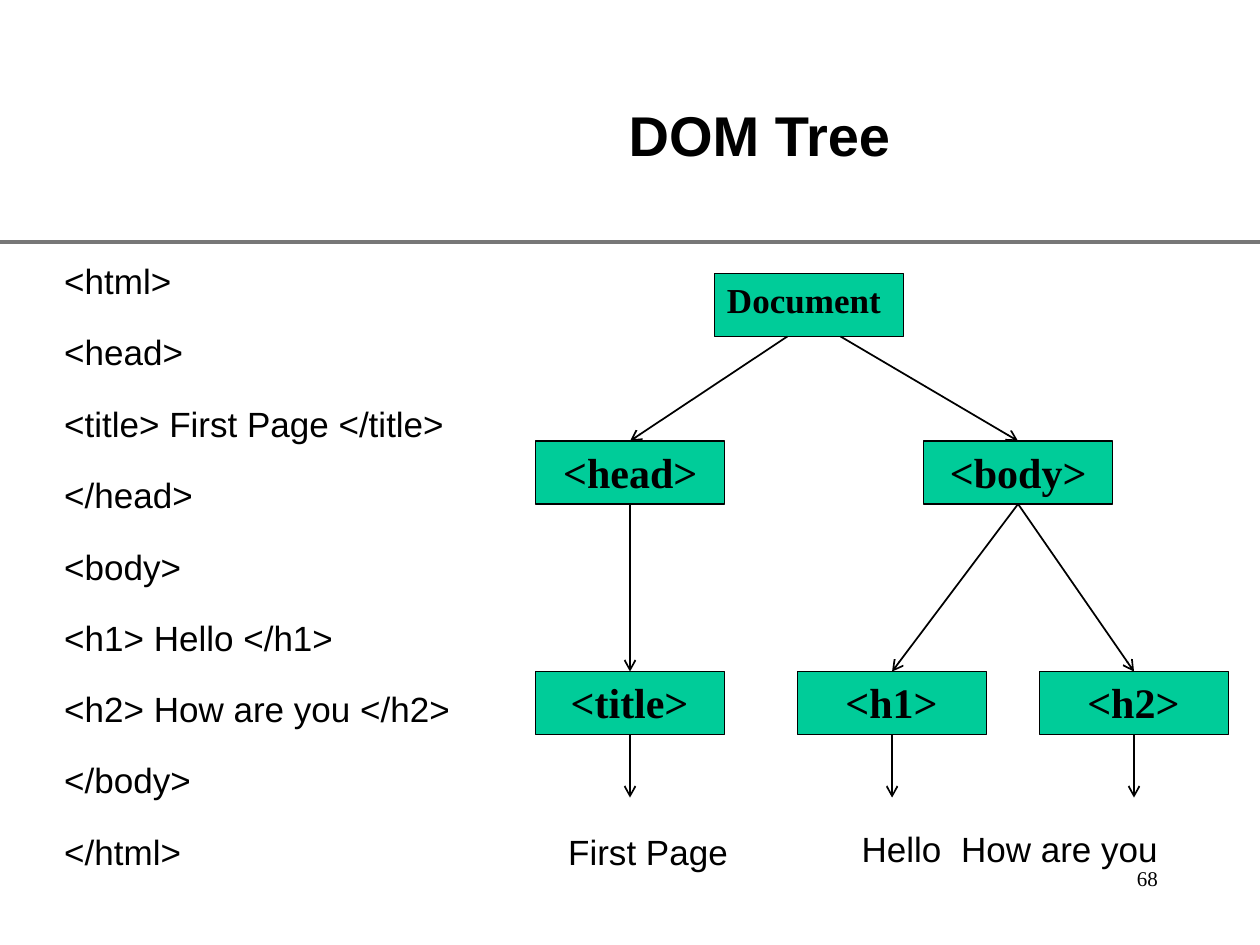
from dataclasses import dataclass

from lxml import etree
from pptx import Presentation
from pptx.dml.color import RGBColor
from pptx.enum.shapes import MSO_CONNECTOR, MSO_SHAPE
from pptx.enum.text import MSO_ANCHOR, PP_ALIGN
from pptx.oxml.ns import qn
from pptx.util import Inches, Pt

RECTANGLE = MSO_SHAPE.RECTANGLE
STRAIGHT = MSO_CONNECTOR.STRAIGHT
TOP = MSO_ANCHOR.TOP
LEFT, RIGHT = PP_ALIGN.LEFT, PP_ALIGN.RIGHT


@dataclass(frozen=True)
class Theme:
    ink: RGBColor = RGBColor(0, 0, 0)
    node: RGBColor = RGBColor(0x00, 0xCC, 0x99)
    rule: RGBColor = RGBColor(0x77, 0x77, 0x77)
    sans: str = "Arial"
    serif: str = "Times New Roman"
    title: int = 32
    tag: int = 24
    body: int = 20
    number: int = 12


def apply_format(target, values):
    for name, value in values.items():
        setattr(target, name, value)


class SlideBuilder:
    def __init__(self, slide, theme):
        self.slide = slide
        self.theme = theme

    def prepare_frame(self, shape, top_inset):
        frame = shape.text_frame
        apply_format(frame, {
            "word_wrap": True, "vertical_anchor": TOP,
            "margin_left": 0, "margin_right": 0,
            "margin_top": Inches(top_inset), "margin_bottom": 0,
        })
        return frame

    def fill_paragraph(self, paragraph, text, size, font=None, bold=False, before=0,
                       indent=0.01, align=LEFT, line_spacing=None):
        paragraph._p.get_or_add_pPr().set("marL", str(Inches(indent)))
        apply_format(paragraph, {"alignment": align, "space_before": Pt(before)})
        if line_spacing:
            paragraph.line_spacing = Pt(line_spacing)
        run = paragraph.add_run()
        run.text = text
        apply_format(run.font, {
            "name": font or self.theme.sans, "size": Pt(size), "bold": bold,
        })
        run.font.color.rgb = self.theme.ink

    def text(self, left, top, width, height, lines, size, bold=False):
        box = self.slide.shapes.add_textbox(*map(Inches, (left, top, width, height)))
        frame = self.prepare_frame(box, 0.01)
        for index, line in enumerate(lines):
            paragraph = frame.add_paragraph() if index else frame.paragraphs[0]
            self.fill_paragraph(paragraph, line, size, bold=bold,
                                before=16.8 if index else 1)

    def footer(self, left, top, width, height, labels, tab, number):
        theme = self.theme
        box = self.slide.shapes.add_textbox(*map(Inches, (left, top, width, height)))
        frame = self.prepare_frame(box, 0.01)
        paragraph = frame.paragraphs[0]
        self.fill_paragraph(paragraph, "\t".join(labels), theme.body, before=1,
                            indent=0, align=RIGHT, line_spacing=22.1)
        tabs = etree.SubElement(paragraph._p.pPr, qn("a:tabLst"))
        etree.SubElement(tabs, qn("a:tab"), pos=str(Inches(tab)), algn="l")
        self.fill_paragraph(frame.add_paragraph(), number, theme.number, theme.serif,
                            indent=0, align=RIGHT, line_spacing=12.5)

    def node(self, left, top, width, height, label, size, indent):
        shape = self.slide.shapes.add_shape(
            RECTANGLE, *map(Inches, (left, top, width, height)))
        shape.shadow.inherit = False
        shape.fill.solid()
        shape.fill.fore_color.rgb = self.theme.node
        shape.line.color.rgb = self.theme.ink
        shape.line.width = Pt(0.72)
        frame = self.prepare_frame(shape, 0.04)
        self.fill_paragraph(frame.paragraphs[0], label, size, self.theme.serif,
                            bold=True, before=2.9, indent=indent)

    def line(self, start, end, color, width, arrow=False):
        connector = self.slide.shapes.add_connector(
            STRAIGHT, *map(Inches, (*start, *end)))
        connector.line.color.rgb = color
        connector.line.width = Pt(width)
        properties = connector._element.spPr
        if arrow:
            etree.SubElement(properties.find(qn("a:ln")), qn("a:tailEnd"),
                             type="arrow", w="med", len="med")
        etree.SubElement(properties, qn("a:effectLst"))


def main():
    theme = Theme()
    presentation = Presentation()
    presentation.slide_width, presentation.slide_height = Inches(10), Inches(7.5)
    slide = presentation.slides.add_slide(presentation.slide_layouts[6])
    builder = SlideBuilder(slide, theme)

    builder.line((0, 1.92), (10, 1.92), theme.rule, 2.04)
    builder.text(4.98, 0.79, 2.13, 0.56, ["DOM Tree"], theme.title, bold=True)
    builder.text(0.5, 2.05, 3.04, 2.63, [
        "<html>", "<head>", "<title> First Page </title>", "</head>", "<body>",
    ], theme.body)
    builder.text(0.5, 4.88, 3.08, 2.06, [
        "<h1> Hello </h1>", "<h2> How are you </h2>", "</body>", "</html>",
    ], theme.body)
    builder.text(4.5, 6.58, 1.3, 0.36, ["First Page"], theme.body)
    builder.footer(6.81, 6.58, 2.38, 0.51, ["Hello", "How are you"], 0.79, "68")

    node_width, node_height = 1.5, 0.5
    root_top, branch_top, leaf_top = 2.17, 3.5, 5.33
    nodes = {
        "Document": (5.67, root_top, theme.body, 0.1),
        "<head>": (4.25, branch_top, theme.tag, 0.22),
        "<body>": (7.33, branch_top, theme.tag, 0.21),
        "<title>": (4.25, leaf_top, theme.tag, 0.28),
        "<h1>": (6.33, leaf_top, theme.tag, 0.38),
        "<h2>": (8.25, leaf_top, theme.tag, 0.38),
    }
    for label, (left, top, size, indent) in nodes.items():
        builder.node(left, top, node_width, node_height, label, size, indent)

    def top_center(label):
        left, top = nodes[label][:2]
        return left + node_width / 2, top

    def bottom_center(label, shift=0):
        center, top = top_center(label)
        return center + shift, top + node_height

    arrows = [
        (bottom_center("Document", -0.17), top_center("<head>")),
        (bottom_center("Document", 0.25), top_center("<body>")),
    ]
    for parent, child in (("<head>", "<title>"), ("<body>", "<h1>"), ("<body>", "<h2>")):
        arrows.append((bottom_center(parent), top_center(child)))
    for leaf in ("<title>", "<h1>", "<h2>"):
        center, bottom = bottom_center(leaf)
        arrows.append(((center, bottom), (center, bottom + 0.5)))
    for start, end in arrows:
        builder.line(start, end, theme.ink, 1, arrow=True)

    presentation.save("out.pptx")


if __name__ == "__main__":
    main()
